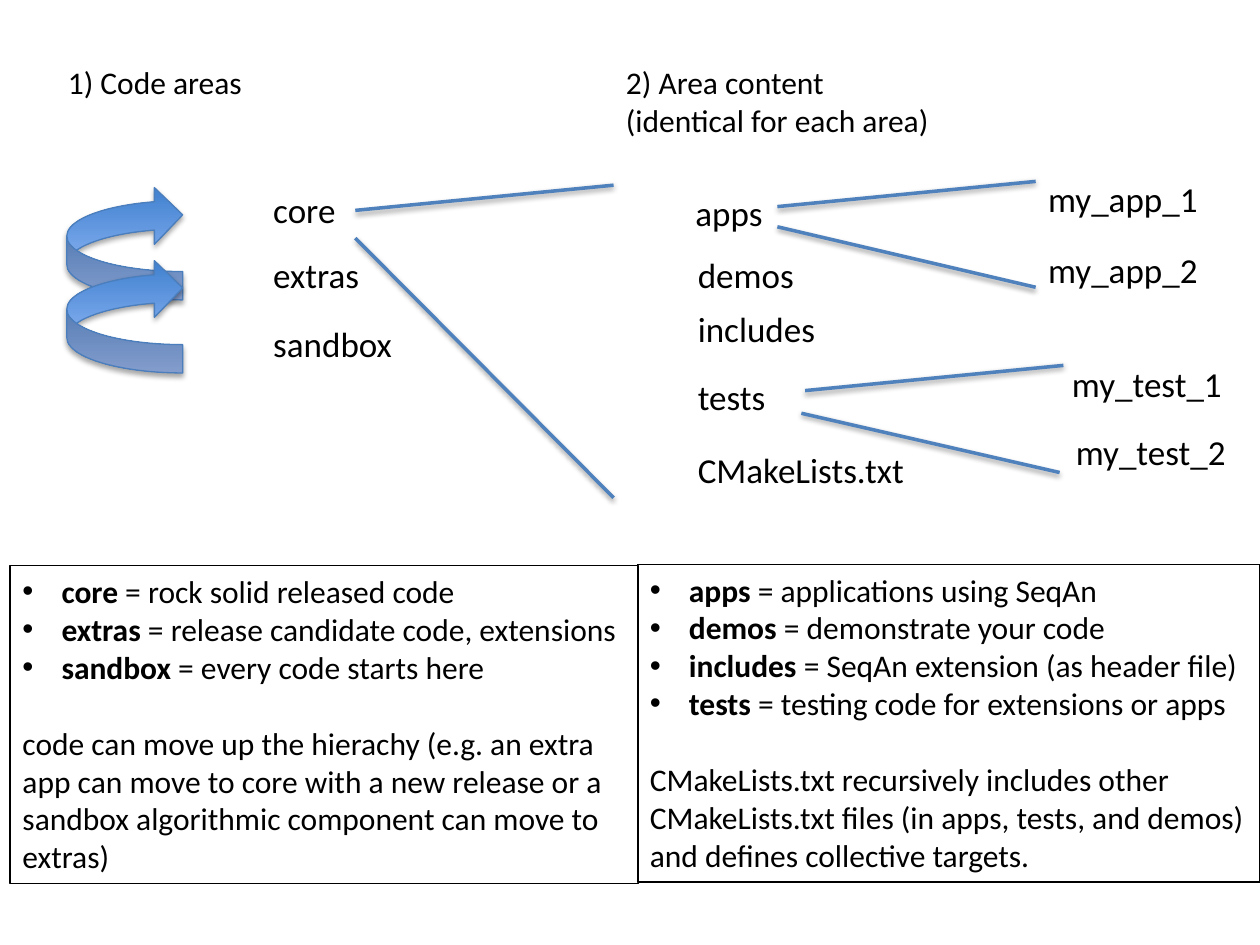
from lxml import etree
from pptx import Presentation, util as u
from pptx.dml.color import RGBColor
from pptx.enum import shapes, text
from pptx.oxml import parse_xml
from pptx.oxml.ns import nsdecls, qn

BLACK, BLUE, EDGE = "000000", "4F81BD", "4B7EBC"
GRADIENT = ("3F80CE", "A4C4FF")

# text, left, top, width
HEADINGS = [
    (["1) Code areas"], 0.44, 0.45, 2.13, 0.4),
    (["2) Area content", "(identical for each area)"], 4.87, 0.45, 2.76, 0.71),
]
LABELS = [
    ("core", 2.07, 1.45, 0.75),
    ("extras", 2.07, 1.96, 1.21),
    ("sandbox", 2.07, 2.51, 1.39),
    ("apps", 5.42, 1.47, 0.75),
    ("demos", 5.44, 1.96, 1.11),
    ("includes", 5.44, 2.39, 1.24),
    ("tests", 5.44, 2.93, 1.11),
    ("CMakeLists.txt", 5.44, 3.51, 1.94),
    ("my_app_1", 8.22, 1.36, 1.46),
    ("my_app_2", 8.22, 1.92, 1.46),
    ("my_test_1", 8.41, 2.83, 1.46),
    ("my_test_2", 8.44, 3.37, 1.46),
]
LABEL_HEIGHT = 0.44

# Every branch runs the same distance to the right: left, start y, end y
BRANCH_WIDTH = 2.05
BRANCHES = [
    (2.82, 1.67, 1.47), (2.82, 1.89, 3.95),
    (6.17, 1.64, 1.44), (6.17, 1.8, 2.28),
    (6.39, 3.1, 2.9), (6.36, 3.28, 3.75),
]
ARROW_TOPS = (1.48, 2.06)

# place, definitions, closing remark
NOTES = [
    ((0.08, 4.49, 4.99, 2.52),
     [("core", "rock solid released code"),
      ("extras", "release candidate code, extensions"),
      ("sandbox", "every code starts here")],
     "code can move up the hierachy (e.g. an extra app can move to core with a new "
     "release or a sandbox algorithmic component can move to extras)"),
    ((5.06, 4.48, 4.94, 2.52),
     [("apps", "applications using SeqAn"),
      ("demos", "demonstrate your code"),
      ("includes", "SeqAn extension (as header file)"),
      ("tests", "testing code for extensions or apps")],
     "CMakeLists.txt recursively includes other CMakeLists.txt files (in apps, tests, "
     "and demos) and defines collective targets."),
]


def color(value):
    return RGBColor.from_string(value)


def inches(*values):
    return [u.Inches(value) for value in values]


def outline(shape, value, width):
    shape.line.color.rgb = color(value)
    shape.line.width = u.Pt(width)


def drop_shadow(shape, alpha, distance):
    """Add a soft downward shadow; call after fill and line are set."""
    shape._element.spPr.append(parse_xml(
        f'<a:effectLst {nsdecls("a")}><a:outerShdw blurRad="{u.Pt(3.1)}" '
        f'dist="{u.Pt(distance)}" dir="5400000" rotWithShape="0"><a:srgbClr val="{BLACK}">'
        f'<a:alpha val="{alpha * 1000}"/></a:srgbClr></a:outerShdw></a:effectLst>'))


def add_box(page, place):
    box = page.shapes.add_textbox(*inches(*place))
    box.text_frame.word_wrap = True
    box.text_frame.auto_size = text.MSO_AUTO_SIZE.SHAPE_TO_FIT_TEXT
    return box


def add_paragraph(box, spans, size, bullet=False, before=0):
    """Fill the empty first paragraph or append one; spans are (text, bold)."""
    frame = box.text_frame
    para = frame.paragraphs[0]
    if para.runs:
        para = frame.add_paragraph()
    if before:
        para.space_before = u.Pt(before)
    if bullet:
        props = para._p.get_or_add_pPr()
        props.set("marL", str(u.Inches(0.31)))
        props.set("indent", str(u.Inches(-0.31)))
        etree.SubElement(props, qn("a:buFont")).set("typeface", "Arial")
        etree.SubElement(props, qn("a:buChar")).set("char", "•")
    for words, bold in spans:
        span = para.add_run()
        span.text = words
        for name, value in {"name": "Calibri", "size": u.Pt(size), "bold": bold}.items():
            setattr(span.font, name, value)
        span.font.color.rgb = color(BLACK)


def add_branch(page, left, start, end):
    branch = page.shapes.add_connector(
        shapes.MSO_CONNECTOR.STRAIGHT, *inches(left, start, left + BRANCH_WIDTH, end))
    outline(branch, BLUE, 2)
    drop_shadow(branch, 38, 1.6)


def add_arrow(page, top):
    arrow = page.shapes.add_shape(
        shapes.MSO_SHAPE.CURVED_LEFT_ARROW, *inches(0.53, top, 0.92, 0.9))
    arrow.rotation = 180
    arrow.fill.gradient()
    arrow.fill.gradient_angle = 90
    for stop, value, position in zip(arrow.fill.gradient_stops, GRADIENT, (0, 1)):
        stop.color.rgb = color(value)
        stop.position = position
    outline(arrow, EDGE, 0.75)
    drop_shadow(arrow, 35, 1.8)


def main():
    deck = Presentation()
    deck.slide_width, deck.slide_height = inches(10, 7.5)
    page = deck.slides.add_slide(deck.slide_layouts[6])

    for words, *place in LABELS:
        add_paragraph(add_box(page, (*place, LABEL_HEIGHT)), [(words, False)], 20)
    for lines, *place in HEADINGS:
        box = add_box(page, place)
        for words in lines:
            add_paragraph(box, [(words, False)], 18)
    for branch in BRANCHES:
        add_branch(page, *branch)
    for top in ARROW_TOPS:
        add_arrow(page, top)
    for place, definitions, remark in NOTES:
        box = add_box(page, place)
        outline(box, BLACK, 0.75)
        for term, meaning in definitions:
            add_paragraph(box, [(term, True), (f" = {meaning}", False)], 18, bullet=True)
        add_paragraph(box, [(remark, False)], 18, before=22)

    deck.save("out.pptx")


if __name__ == "__main__":
    main()
